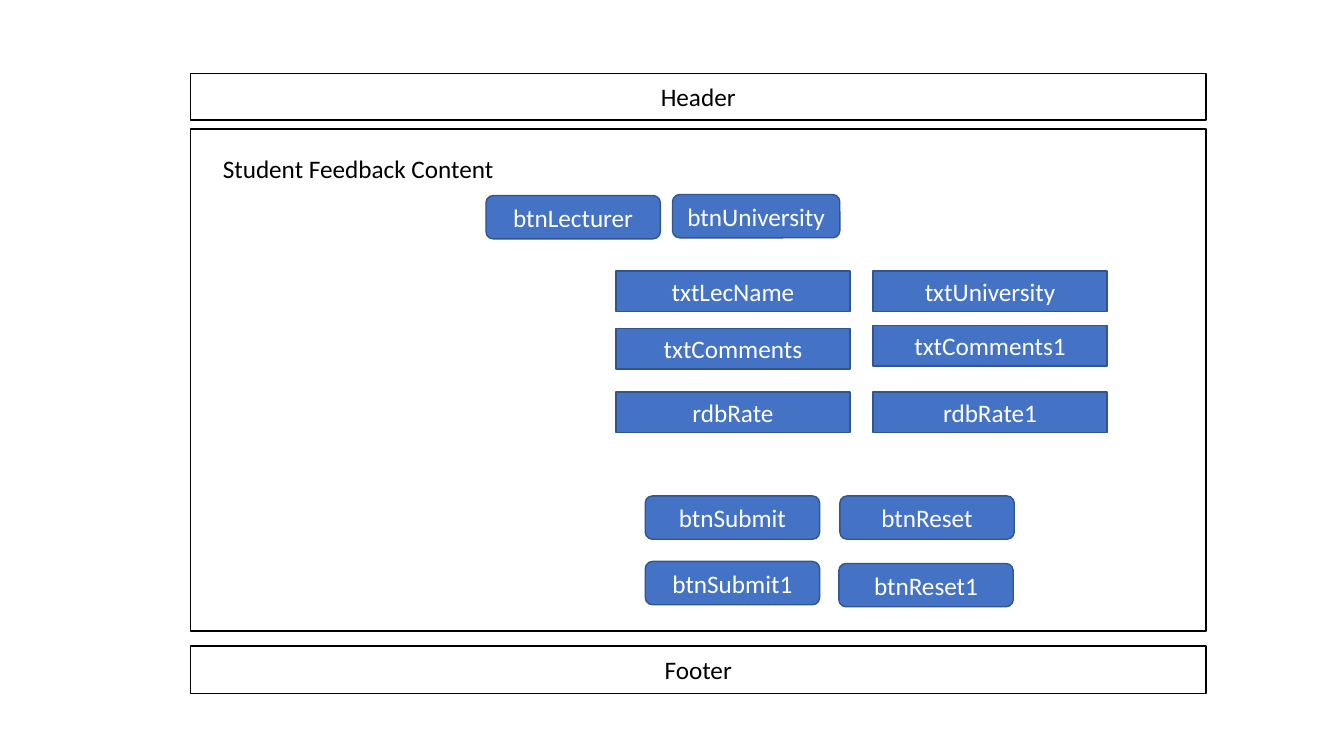
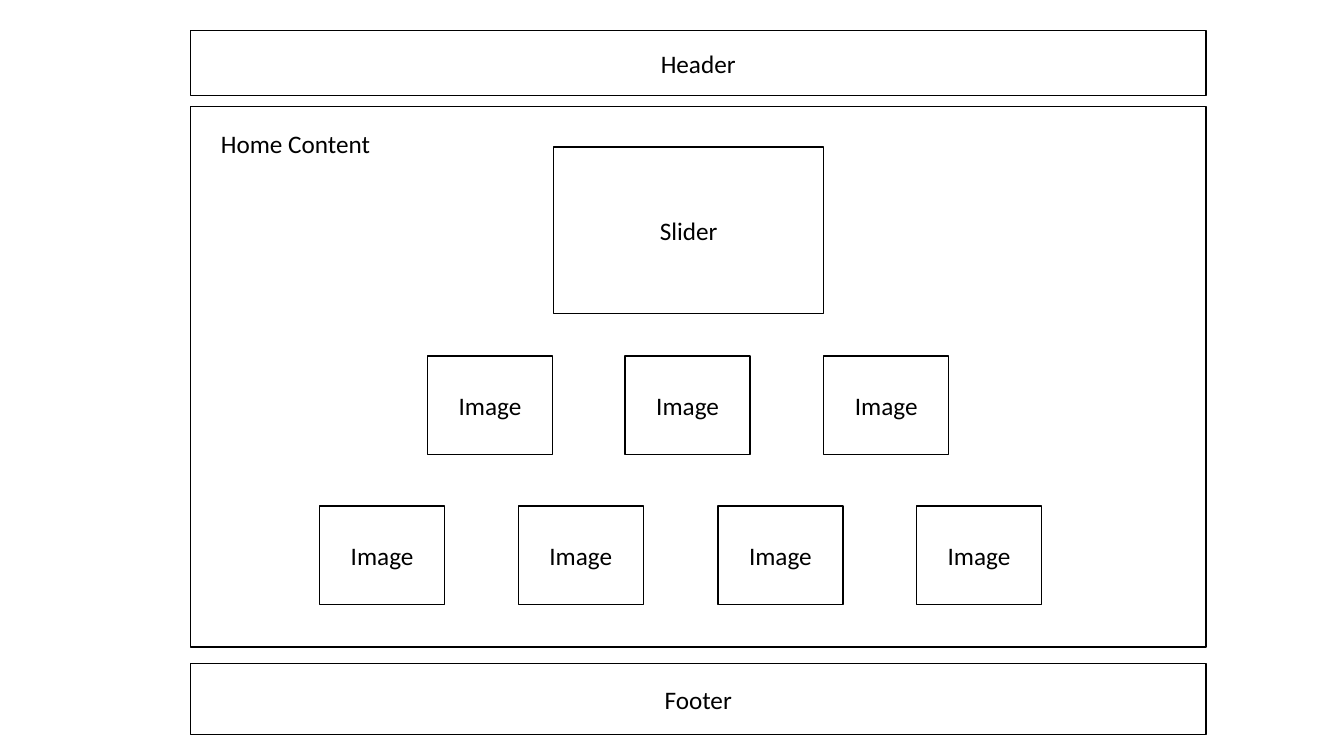
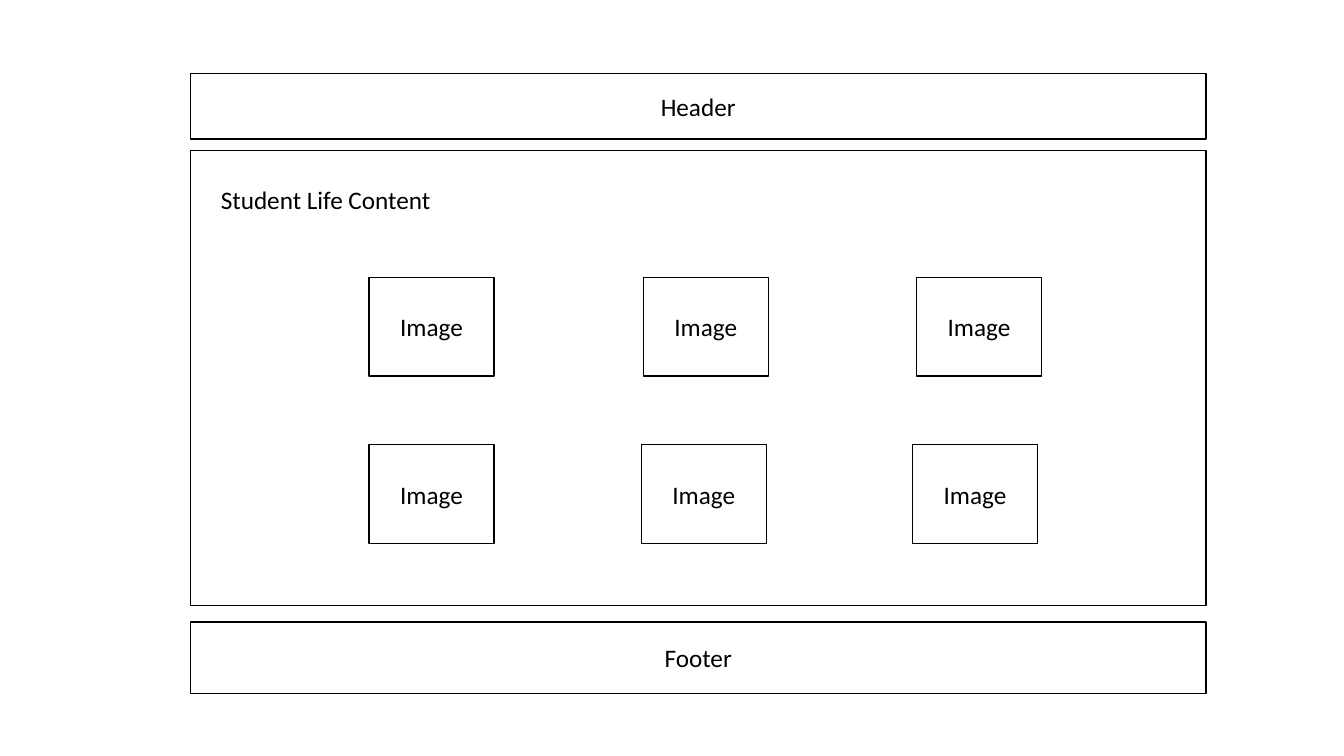
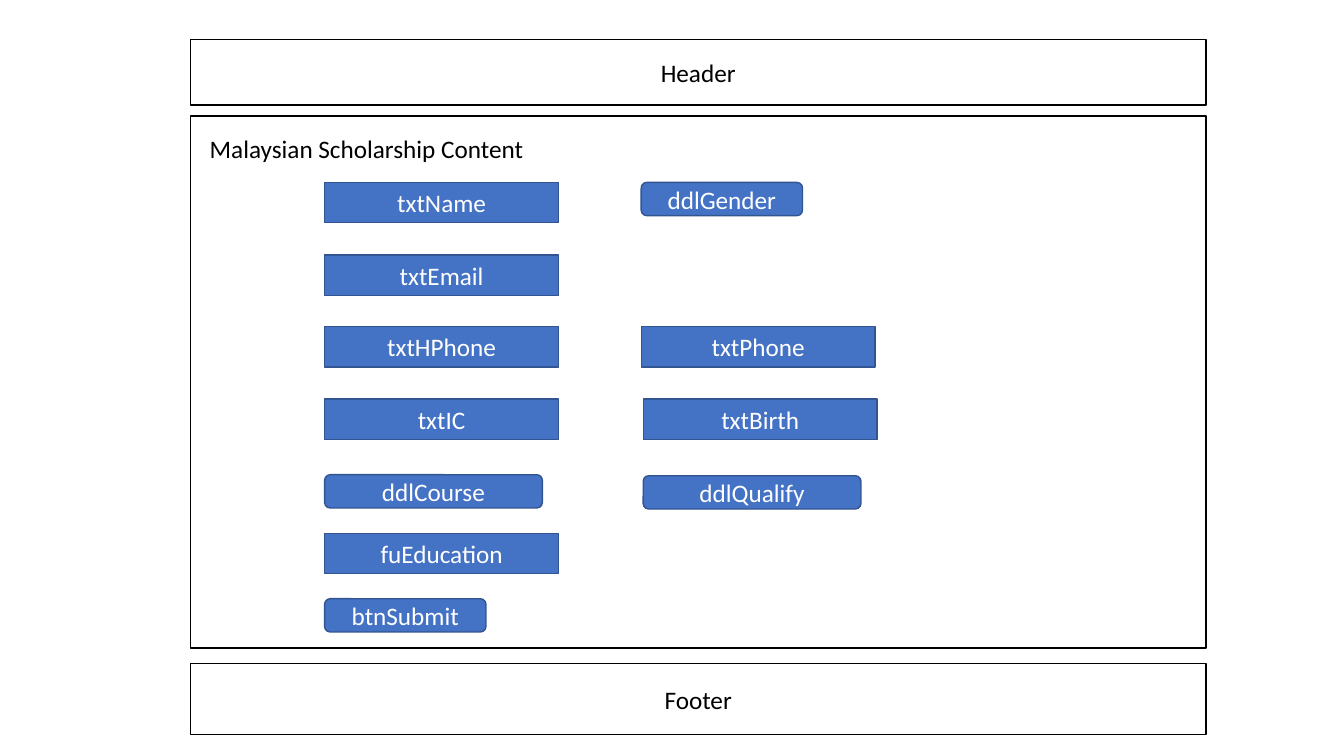
from pptx import Presentation
from pptx import util as u
from pptx.dml.color import RGBColor
from pptx.enum import shapes, text

PX = 9144
SLIDE_W, SLIDE_H = 1333, 750
FRAME_LEFT, FRAME_W = 189, 1007
TITLE_W, TITLE_H = 339, 40
FONT, FONT_SIZE, LINE_W = "Calibri", u.Pt(18), u.Pt(1)

BLACK = RGBColor(0x00, 0x00, 0x00)
WHITE = RGBColor(0xFF, 0xFF, 0xFF)
BLUE = RGBColor(0x44, 0x72, 0xC4)
DARK_BLUE = RGBColor(0x32, 0x54, 0x91)

RECT = shapes.MSO_SHAPE.RECTANGLE
ROUND = shapes.MSO_SHAPE.ROUNDED_RECTANGLE

WIREFRAME = (WHITE, BLACK, BLACK)
CONTROL = (BLUE, DARK_BLUE, WHITE)

KINDS = {
    "field": (RECT, 232, 40, CONTROL),
    "button": (ROUND, 173, 43, CONTROL),
    "tab": (ROUND, 166, 43, CONTROL),
    "small": (ROUND, 160, 33, CONTROL),
    "list": (ROUND, 216, 33, CONTROL),
    "image": (RECT, 124, 98, WIREFRAME),
    "slider": (RECT, 268, 165, WIREFRAME),
}


def image_row(top, first, last, count):
    step = (last - first) / (count - 1)
    return [("image", "Image", round(first + i * step), top) for i in range(count)]


PAGES = [
    {
        "title": ("Student Feedback Content", 211, 147),
        "header": (73, 46), "body": (128, 498), "footer": (641, 47),
        "items": [
            ("button", "btnLecturer", 482, 194),
            ("tab", "btnUniversity", 667, 193),
            ("field", "txtLecName", 611, 269),
            ("field", "txtUniversity", 866, 269),
            ("field", "txtComments", 611, 326),
            ("field", "txtComments1", 866, 323),
            ("field", "rdbRate", 611, 389),
            ("field", "rdbRate1", 866, 389),
            ("button", "btnSubmit", 640, 492),
            ("button", "btnReset", 833, 492),
            ("button", "btnSubmit1", 640, 557),
            ("button", "btnReset1", 832, 559),
        ],
    },
    {
        "title": ("Home Content", 209, 122),
        "header": (30, 65), "body": (106, 536), "footer": (658, 71),
        "items": [
            ("slider", "Slider", 549, 146),
            *image_row(353, 424, 817, 3),
            *image_row(502, 317, 909, 4),
        ],
    },
    {
        "title": ("Student Life Content", 209, 178),
        "header": (73, 65), "body": (149, 452), "footer": (617, 71),
        "items": [
            *image_row(275, 366, 909, 3),
            *image_row(441, 366, 905, 3),
        ],
    },
    {
        "title": ("Malaysian Scholarship Content", 198, 127),
        "header": (39, 65), "body": (115, 528), "footer": (658, 71),
        "items": [
            ("field", "txtName", 322, 181),
            ("small", "ddlGender", 636, 181),
            ("field", "txtEmail", 322, 253),
            ("field", "txtHPhone", 322, 324),
            ("field", "txtPhone", 636, 324),
            ("field", "txtIC", 322, 396),
            ("field", "txtBirth", 638, 396),
            ("list", "ddlCourse", 322, 471),
            ("list", "ddlQualify", 638, 472),
            ("field", "fuEducation", 322, 529),
            ("small", "btnSubmit", 322, 594),
        ],
    },
]


def write(sp, label, color, align, anchor):
    tf = sp.text_frame
    tf.word_wrap = True
    tf.vertical_anchor = anchor
    p = tf.paragraphs[0]
    p.alignment = align
    r = p.add_run()
    r.text = label
    r.font.name = FONT
    r.font.size = FONT_SIZE
    r.font.color.rgb = color


def add_box(s, shape, left, top, width, height, style, label=""):
    fill, line, color = style
    sp = s.shapes.add_shape(shape, left * PX, top * PX, width * PX, height * PX)
    sp.shadow.inherit = False
    sp.fill.solid()
    sp.fill.fore_color.rgb = fill
    sp.line.color.rgb = line
    sp.line.width = LINE_W
    if label:
        write(sp, label, color, text.PP_ALIGN.CENTER, text.MSO_ANCHOR.MIDDLE)


def add_title(s, label, left, top):
    sp = s.shapes.title
    sp.left, sp.top = left * PX, top * PX
    sp.width, sp.height = TITLE_W * PX, TITLE_H * PX
    write(sp, label, BLACK, text.PP_ALIGN.LEFT, text.MSO_ANCHOR.TOP)
    sp.text_frame.auto_size = text.MSO_AUTO_SIZE.SHAPE_TO_FIT_TEXT
    sp.element.getparent().append(sp.element)


def add_page(prs, page):
    s = prs.slides.add_slide(prs.slide_layouts[5])
    for band, label in (("header", "Header"), ("body", ""), ("footer", "Footer")):
        top, height = page[band]
        add_box(s, RECT, FRAME_LEFT, top, FRAME_W, height, WIREFRAME, label)
    add_title(s, *page["title"])
    for kind, label, left, top in page["items"]:
        shape, width, height, style = KINDS[kind]
        add_box(s, shape, left, top, width, height, style, label)


def main():
    prs = Presentation()
    prs.slide_width, prs.slide_height = SLIDE_W * PX, SLIDE_H * PX
    for page in PAGES:
        add_page(prs, page)
    prs.save("out.pptx")


if __name__ == "__main__":
    main()
